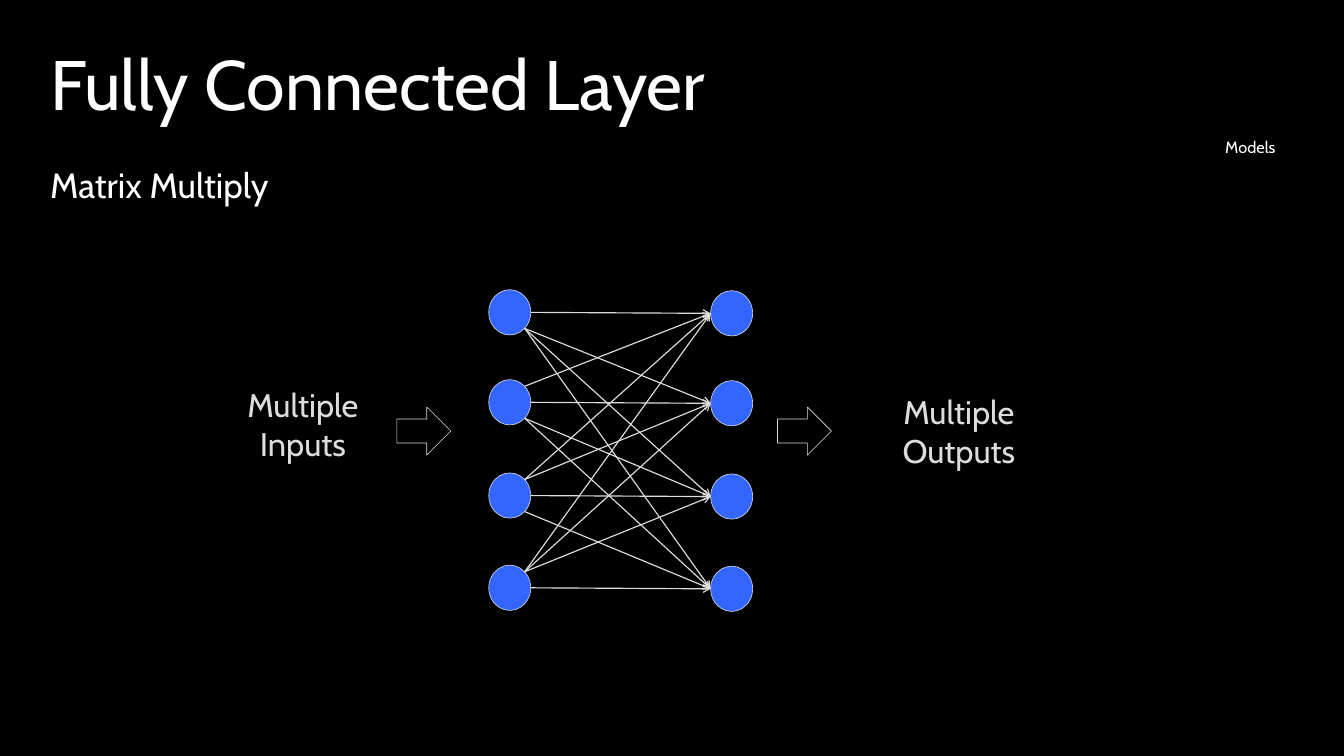
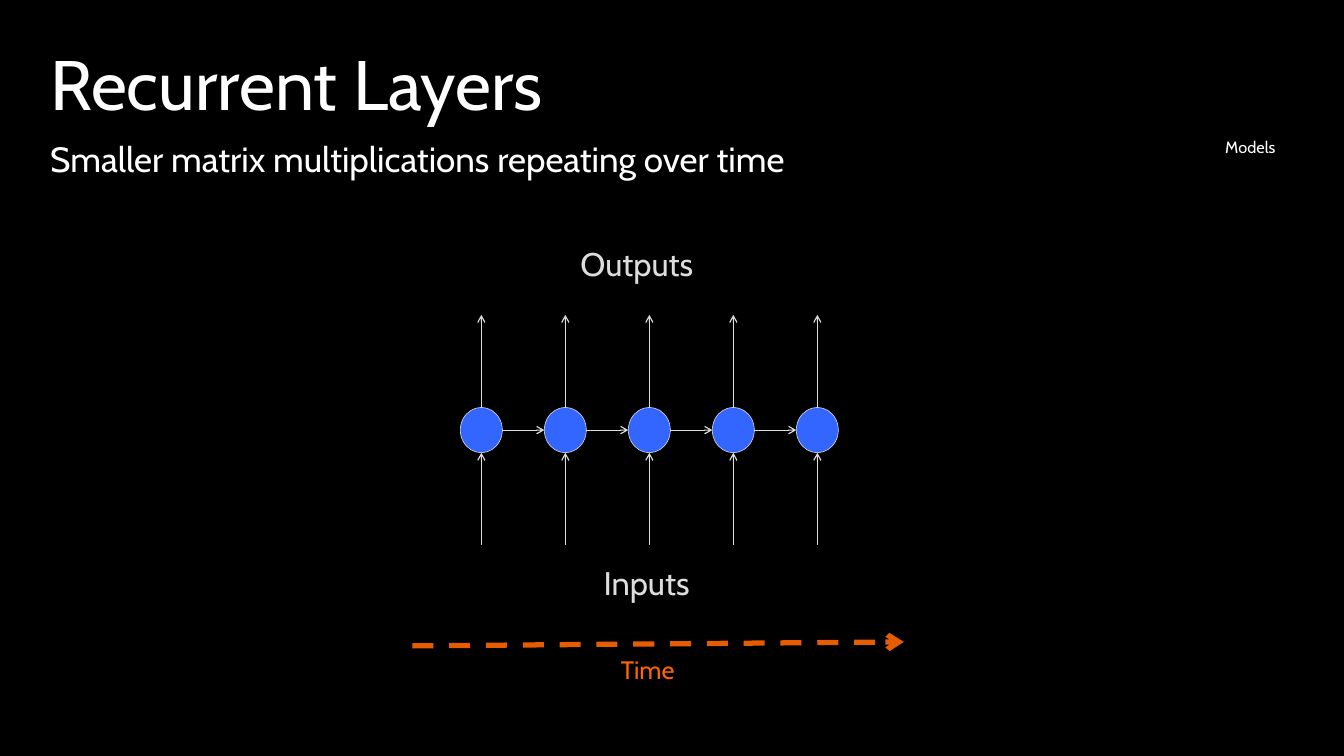
import math

import pptx
import pptx.dml.color
import pptx.enum.dml
import pptx.enum.shapes
import pptx.enum.text
import pptx.oxml.ns
import pptx.util
from lxml import etree

Cm = pptx.util.Cm
Pt = pptx.util.Pt

FONT = "Cabin"
BLACK = "000000"
WHITE = "FFFFFF"
GREY = "DDDDDD"
BLUE = "3366FF"
ORANGE = "FF6600"

NODE_WIDTH = 1.27
NODE_HEIGHT = 1.37


def color(value):
    return pptx.dml.color.RGBColor.from_string(value)


def add_element(parent, tag, **attributes):
    return etree.SubElement(parent, pptx.oxml.ns.qn(tag), attributes)


class Deck:
    def __init__(self):
        self.presentation = pptx.Presentation()
        self.presentation.slide_width = Cm(40.64)
        self.presentation.slide_height = Cm(22.86)
        self.slide = None

    def add_slide(self, title, subtitle, subtitle_top):
        self.slide = self.presentation.slides.add_slide(self.presentation.slide_layouts[6])
        background = self.slide.background.fill
        background.solid()
        background.fore_color.rgb = color(BLACK)
        self.heading(title, 1.27, 3.05, 60)
        self.heading(subtitle, subtitle_top, 1.55, 30)
        self.text("Models", 36.8, 4.01, 2.26, 0.86, 14, WHITE)

    def text(self, content, left, top, width, height, size, font_color=GREY, centered=False):
        box = self.slide.shapes.add_textbox(Cm(left), Cm(top), Cm(width), Cm(height))
        frame = box.text_frame
        frame.word_wrap = True
        frame.text = content
        for paragraph in frame.paragraphs:
            paragraph.font.name = FONT
            paragraph.font.size = Pt(size)
            paragraph.font.color.rgb = color(font_color)
            if centered:
                paragraph.alignment = pptx.enum.text.PP_ALIGN.CENTER
        return frame

    def heading(self, content, top, height, size):
        frame = self.text(content, 1.27, top, 38.1, height, size, WHITE)
        frame.margin_top = frame.margin_bottom = Cm(0.25)
        frame.paragraphs[0].line_spacing = 0.9

    def label(self, content, left, top, width, height, size=28, font_color=GREY):
        self.text(content, left, top, width, height, size, font_color, centered=True)

    def outlined(self, kind, left, top, width, height):
        shape = self.slide.shapes.add_shape(kind, Cm(left), Cm(top), Cm(width), Cm(height))
        shape.shadow.inherit = False
        shape.line.color.rgb = color(GREY)
        shape.line.width = Pt(0.5)
        return shape

    def node(self, left, top):
        shape = self.outlined(pptx.enum.shapes.MSO_SHAPE.OVAL, left, top, NODE_WIDTH, NODE_HEIGHT)
        shape.fill.solid()
        shape.fill.fore_color.rgb = color(BLUE)

    def block_arrow(self, left):
        shape = self.outlined(pptx.enum.shapes.MSO_SHAPE.UP_ARROW, left, 12.22, 1.45, 1.63)
        shape.rotation = 90
        shape.fill.background()

    def arrow(self, start, end, line_color=GREY, width=1):
        connector = self.slide.shapes.add_connector(
            pptx.enum.shapes.MSO_CONNECTOR.STRAIGHT, *(Cm(value) for value in (*start, *end))
        )
        connector.line.color.rgb = color(line_color)
        connector.line.width = Pt(width)
        properties = connector.element.spPr
        add_element(properties.get_or_add_ln(), "a:tailEnd", type="arrow")
        add_element(properties, "a:effectLst")
        return connector

    def time_arrow(self, start, end):
        connector = self.arrow(start, end, ORANGE, 4.5)
        connector.line.dash_style = pptx.enum.dml.MSO_LINE.DASH
        line_color = connector.element.spPr.find(".//" + pptx.oxml.ns.qn("a:srgbClr"))
        add_element(line_color, "a:alpha", val="89000")


def fully_connected_slide(deck):
    deck.add_slide("Fully Connected Layer", "Matrix Multiply", 4.83)
    input_left, output_left = 14.78, 21.49
    input_tops = [8.76, 11.48, 14.3, 17.09]
    output_tops = [top + 0.03 for top in input_tops]
    for left, tops in ((input_left, input_tops), (output_left, output_tops)):
        for top in tops:
            deck.node(left, top)

    for row, input_top in enumerate(input_tops):
        for target, output_top in enumerate(output_tops):
            direction = (target > row) - (target < row)
            angle = direction * math.pi / 4
            start = (
                input_left + NODE_WIDTH / 2 * (1 + math.cos(angle)),
                input_top + NODE_HEIGHT / 2 * (1 + math.sin(angle)),
            )
            deck.arrow(start, (output_left, output_top + NODE_HEIGHT / 2))

    for left in (12.09, 23.6):
        deck.block_arrow(left)
    deck.label("Multiple\nInputs", 6.25, 11.51, 5.82, 2.64)
    deck.label("Multiple Outputs", 26.9, 11.71, 4.19, 2.64)


def recurrent_slide(deck):
    deck.add_slide("Recurrent Layers", "Smaller matrix multiplications repeating over time", 4.04)
    first_left, step, top = 13.92, 2.54, 12.32
    count, arrow_length = 5, 2.8
    bottom = top + NODE_HEIGHT
    middle = top + NODE_HEIGHT / 2
    for index in range(count):
        left = first_left + index * step
        center = left + NODE_WIDTH / 2
        deck.node(left, top)
        deck.arrow((center, top), (center, top - arrow_length))
        deck.arrow((center, bottom + arrow_length), (center, bottom))
        if index < count - 1:
            deck.arrow((left + NODE_WIDTH, middle), (left + step, middle))

    deck.time_arrow((12.47, 19.53), (27.33, 19.41))
    deck.label("Time", 17.5, 19.66, 4.17, 1.17, 21.6, ORANGE)
    deck.label("Inputs", 17.63, 16.89, 3.84, 1.45)
    deck.label("Outputs", 17.02, 7.26, 4.47, 1.45)


def main():
    deck = Deck()
    fully_connected_slide(deck)
    recurrent_slide(deck)
    deck.presentation.save("out.pptx")


if __name__ == "__main__":
    main()
